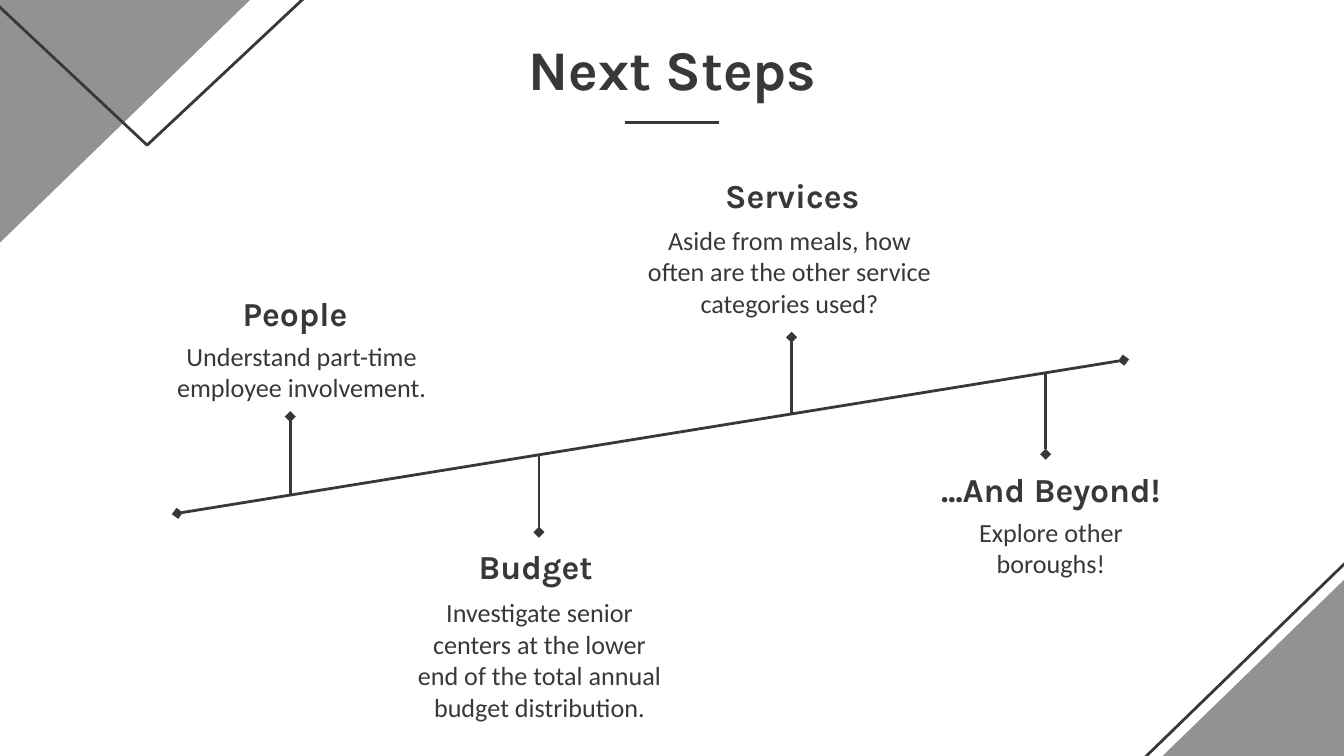
from dataclasses import dataclass

from lxml.etree import SubElement
from pptx import Presentation
from pptx.dml.color import RGBColor
from pptx.enum.shapes import MSO_CONNECTOR, MSO_SHAPE
from pptx.enum.text import MSO_ANCHOR, MSO_AUTO_SIZE, PP_ALIGN
from pptx.oxml.ns import qn
from pptx.util import Inches, Pt


@dataclass(frozen=True)
class Theme:
    ink: RGBColor = RGBColor(0x38, 0x38, 0x38)
    gray: RGBColor = RGBColor(0x92, 0x92, 0x92)
    white: RGBColor = RGBColor(0xFF, 0xFF, 0xFF)
    heading_font: str = "Karla"
    body_font: str = "Calibri"
    title_size: int = 30
    heading_size: int = 18
    body_size: int = 14
    line_width: float = 1.5
    inset: float = 0.1


def write_text(shape, text, *, font, size, color, inset, bold=False, space_after=0):
    frame = shape.text_frame
    frame.word_wrap = True
    frame.auto_size = MSO_AUTO_SIZE.NONE
    frame.vertical_anchor = MSO_ANCHOR.TOP
    frame.margin_left = frame.margin_right = Inches(inset)
    frame.margin_top = frame.margin_bottom = Inches(inset)
    paragraph = frame.paragraphs[0]
    paragraph.alignment = PP_ALIGN.CENTER
    paragraph.space_after = Pt(space_after)
    run = paragraph.add_run()
    run.text = text
    run.font.name = font
    run.font.size = Pt(size)
    run.font.bold = bold
    run.font.color.rgb = color


class SlideBuilder:
    def __init__(self, slide, theme):
        self.slide = slide
        self.theme = theme
        slide.background.fill.solid()
        slide.background.fill.fore_color.rgb = theme.white

    def title(self, text, box):
        shape = self.slide.shapes.title
        shape.left, shape.top, shape.width, shape.height = map(Inches, box)
        write_text(shape, text, font=self.theme.heading_font, size=self.theme.title_size,
                   color=self.theme.ink, inset=self.theme.inset, bold=True)

    def heading(self, text, box):
        shape = self.slide.shapes.add_textbox(*map(Inches, box))
        write_text(shape, text, font=self.theme.heading_font, size=self.theme.heading_size,
                   color=self.theme.ink, inset=self.theme.inset, bold=True)

    def body(self, text, box, space_after=0):
        shape = self.slide.shapes.add_textbox(*map(Inches, box))
        write_text(shape, text, font=self.theme.body_font, size=self.theme.body_size,
                   color=self.theme.ink, inset=self.theme.inset, space_after=space_after)

    def corner(self, kind, box, rotation=0, filled=False):
        shape = self.slide.shapes.add_shape(kind, *map(Inches, box))
        shape.shadow.inherit = False
        shape.rotation = rotation
        shape.element.spPr.xfrm.set("flipH", "1")
        if filled:
            shape.fill.solid()
            shape.fill.fore_color.rgb = self.theme.gray
            shape.line.fill.background()
        else:
            shape.fill.background()
            shape.line.color.rgb = self.theme.ink
            shape.line.width = Pt(self.theme.line_width)

    def line(self, start, end, diamonds=()):
        connector = self.slide.shapes.add_connector(
            MSO_CONNECTOR.STRAIGHT, *map(Inches, (*start, *end)))
        connector.line.color.rgb = self.theme.ink
        connector.line.width = Pt(self.theme.line_width)
        properties = connector.element.spPr
        for line_end in diamonds:
            SubElement(properties.find(qn("a:ln")), qn(f"a:{line_end}"), type="diamond")
        SubElement(properties, qn("a:effectLst"))


# Widescreen slide, 16:9
presentation = Presentation()
presentation.slide_width = Inches(10)
presentation.slide_height = presentation.slide_width * 9 // 16
builder = SlideBuilder(presentation.slides.add_slide(presentation.slide_layouts[5]), Theme())

# Corner decoration
builder.corner(MSO_SHAPE.RIGHT_TRIANGLE, (7.68, 2.84, 3.72, 3.61))
builder.corner(MSO_SHAPE.RIGHT_TRIANGLE, (7.8, 2.84, 3.72, 3.61), filled=True)
builder.corner(MSO_SHAPE.RIGHT_TRIANGLE, (-0.83, -1, 3.72, 3.61), rotation=180, filled=True)
builder.corner(MSO_SHAPE.ISOSCELES_TRIANGLE, (-1.84, -1.67, 5.87, 2.75), rotation=180)

# Title and its rule
builder.title("Next Steps", (0.98, 0.16, 8.05, 0.58))
builder.line((4.65, 0.91), (5.35, 0.91))

# Rising timeline
axis_left, axis_right = (1.32, 3.82), (8.36, 2.68)
slope = (axis_right[1] - axis_left[1]) / (axis_right[0] - axis_left[0])
builder.line(axis_right, axis_left, diamonds=("headEnd", "tailEnd"))

# Steps: heading, its box, body, its box, space after, stem end
steps = [
    ("People", (1.2, 2.08, 1.99, 0.43),
     "Understand part-time employee involvement.", (1.18, 2.43, 2.13, 0.68), 0, (2.16, 3.1)),
    ("Budget", (2.99, 3.96, 1.99, 0.43),
     "Investigate senior centers at the lower end of the total annual budget distribution.",
     (2.96, 4.34, 2.11, 0.68), 0, (4.01, 3.96)),
    ("Services", (4.9, 1.2, 1.99, 0.43),
     "Aside from meals, how often are the other service categories used?",
     (4.68, 1.57, 2.39, 0.68), 0, (5.89, 2.51)),
    ("...And Beyond!", (6.7, 3.39, 2.24, 0.43),
     "Explore other boroughs!", (7.11, 3.74, 1.42, 0.68), 16, (7.78, 3.38)),
]
for heading, heading_box, body, body_box, space_after, stem_end in steps:
    builder.heading(heading, heading_box)
    builder.body(body, body_box, space_after)
    stem_start = (stem_end[0], axis_left[1] + slope * (stem_end[0] - axis_left[0]))
    builder.line(stem_start, stem_end, diamonds=("tailEnd",))

presentation.save("out.pptx")
